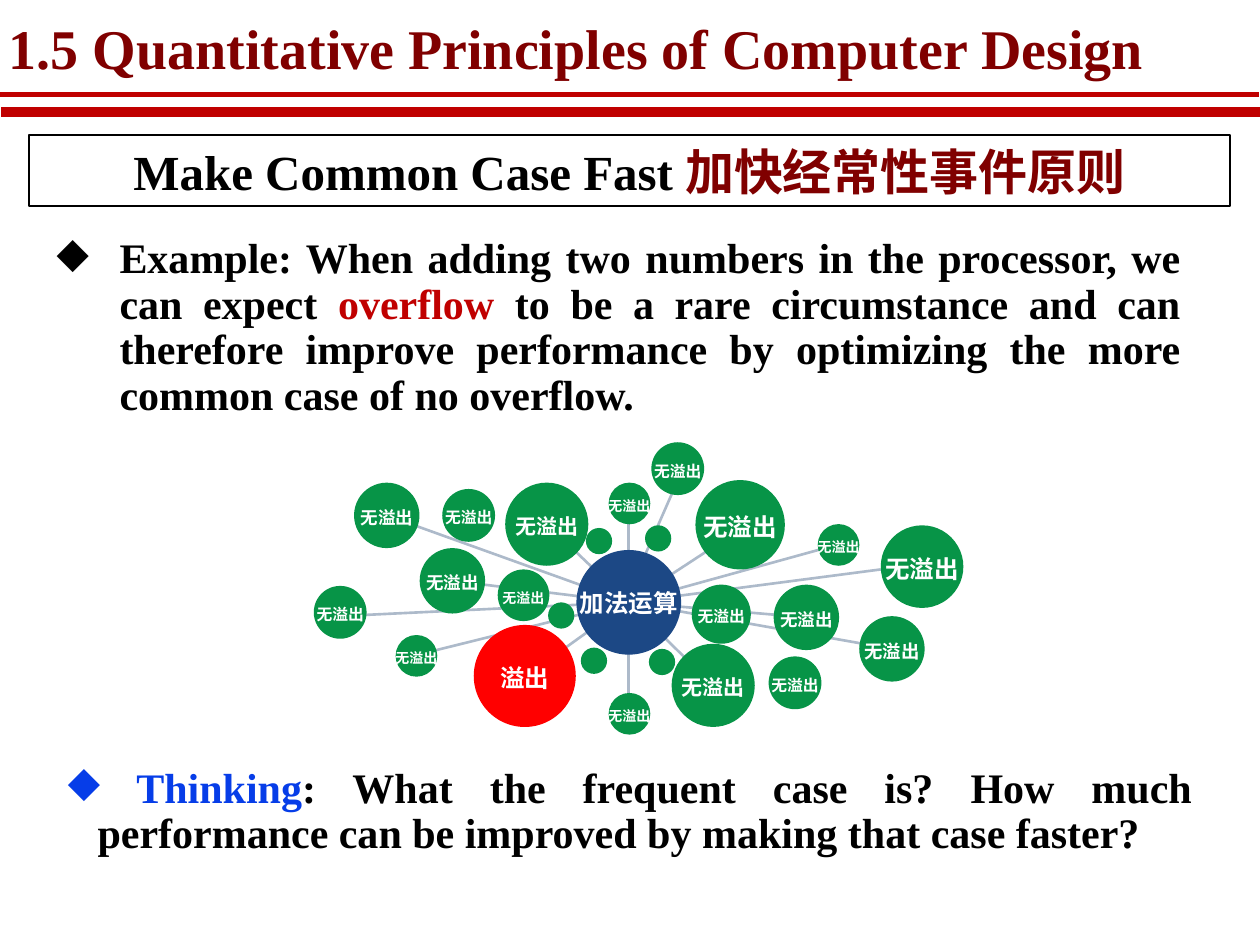
from lxml import etree
from pptx import Presentation
from pptx import util as u
from pptx.dml import color
from pptx.enum import shapes, text
from pptx.oxml import ns

SERIF = "Times New Roman"
SANS = "Arial"
BLACK, WHITE = "000000", "FFFFFF"
MAROON, RED, BLUE = "800000", "C00000", "063DE8"
GREEN, NAVY, ALERT, SPOKE = "079447", "1C4885", "FF0000", "ADBACA"

HUB = (359.3, 344.2)
HUB_DIAMETER = 59.8
LABEL_DROP = 1.2

SPOKE_ENDS = [
    (208.8, 351.4), (503.3, 325.4), (419.8, 304.6), (479.5, 311),
    (221, 294.5), (312.5, 299.5), (359.3, 287.3), (460.8, 352.8),
    (509.8, 370.8), (407.5, 391.7), (359.3, 408.2), (300.2, 386.6),
    (237.6, 374.4), (258.5, 331.9),
]

CASES = [
    (288.7, 275.8, 47.5, 12), (442.1, 334.1, 37.4, 10),
    (491, 352.1, 37.4, 10.5), (239.8, 313.2, 37.4, 10),
    (202.3, 275.8, 37.4, 10), (347.8, 275.8, 23.8, 8),
    (347.8, 396, 23.8, 8), (467.3, 299.5, 23.8, 8),
    (226.1, 362.9, 23.8, 8), (383.8, 367.9, 47.5, 12),
    (284.4, 325.4, 29.5, 8), (395.3, 334.1, 33.8, 9),
    (372.2, 252.7, 30.2, 9), (439.2, 375.1, 30.2, 9),
    (252.7, 279.4, 30.2, 9), (179.3, 334.8, 30.2, 9),
    (503.3, 300.2, 47.2, 14), (397.4, 274.3, 51.1, 14),
]

DOT_DIAMETER = 15
DOTS = [(368.6, 300.2), (334.8, 301.7), (331.9, 370.1),
        (313.2, 344.2), (370.8, 370.8)]


def rgb(value):
    return color.RGBColor.from_string(value)


def points(*values):
    return [u.Pt(value) for value in values]


def set_font(font, name, size, hue):
    font.name = name
    font.size = u.Pt(size)
    font.bold = True
    font.color.rgb = rgb(hue)


def set_frame(frame, margin_x=0, margin_y=0):
    frame.word_wrap = True
    frame.auto_size = text.MSO_AUTO_SIZE.NONE
    frame.vertical_anchor = text.MSO_ANCHOR.MIDDLE
    frame.margin_left = frame.margin_right = u.Pt(margin_x)
    frame.margin_top = frame.margin_bottom = u.Pt(margin_y)


def add_runs(paragraph, parts):
    for words, hue in parts:
        run = paragraph.add_run()
        run.text = words
        run.font.color.rgb = rgb(hue)


def add_title(slide, words):
    title = slide.shapes.title
    title.left, title.top, title.width, title.height = points(0, 10.8, 676.8, 37.4)
    set_frame(title.text_frame, 5, 2.2)
    paragraph = title.text_frame.paragraphs[0]
    paragraph.text = words
    paragraph.alignment = text.PP_ALIGN.LEFT
    paragraph.line_spacing = 0.87
    set_font(paragraph.font, SERIF, 32, MAROON)


def add_line(slide, start, end, hue, weight):
    line = slide.shapes.add_connector(
        shapes.MSO_CONNECTOR.STRAIGHT, *points(*start, *end))
    line.line.color.rgb = rgb(hue)
    line.line.width = u.Pt(weight)
    etree.SubElement(line._element.spPr, ns.qn("a:effectLst"))


def add_heading(slide, parts):
    shape = slide.shapes.add_shape(
        shapes.MSO_SHAPE.RECTANGLE, *points(16.6, 77, 686.2, 41))
    shape.shadow.inherit = False
    shape.fill.background()
    shape.line.color.rgb = rgb(BLACK)
    shape.line.width = u.Pt(1)
    set_frame(shape.text_frame, 7.2, 3.6)
    paragraph = shape.text_frame.paragraphs[0]
    paragraph.alignment = text.PP_ALIGN.CENTER
    set_font(paragraph.font, SERIF, 28, BLACK)
    add_runs(paragraph, parts)


def add_bullet_text(slide, box, indent, parts):
    shape = slide.shapes.add_textbox(*points(*box))
    frame = shape.text_frame
    set_frame(frame, 7.2, 3.6)
    frame.vertical_anchor = text.MSO_ANCHOR.TOP
    paragraph = frame.paragraphs[0]
    properties = paragraph._p.get_or_add_pPr()
    properties.set("marL", str(u.Pt(indent)))
    properties.set("indent", str(-u.Pt(indent)))
    etree.SubElement(properties, ns.qn("a:buChar")).set("char", "◆")
    paragraph.alignment = text.PP_ALIGN.JUSTIFY
    paragraph.line_spacing = u.Pt(26)
    set_font(paragraph.font, SERIF, 24, parts[0][1])
    add_runs(paragraph, parts)


def add_circle(slide, left, top, diameter, hue):
    circle = slide.shapes.add_shape(
        shapes.MSO_SHAPE.OVAL, *points(left, top, diameter, diameter))
    circle.shadow.inherit = False
    circle.fill.solid()
    circle.fill.fore_color.rgb = rgb(hue)
    circle.line.fill.background()
    return circle


def write_label(frame, words, size):
    set_frame(frame)
    paragraph = frame.paragraphs[0]
    paragraph.text = words
    paragraph.alignment = text.PP_ALIGN.CENTER
    set_font(paragraph.font, SANS, size, WHITE)


def add_case(slide, left, top, diameter, size, words="无溢出", hue=GREEN):
    add_circle(slide, left, top, diameter, hue)
    width = 72 if size == 14 else 40
    height = 1.2 * size
    label = slide.shapes.add_textbox(*points(
        left + (diameter - width) / 2,
        top + (diameter - height) / 2 + LABEL_DROP, width, height))
    write_label(label.text_frame, words, size)


def add_bubble_diagram(slide):
    add_line(slide, (387.4, 274.3), (365, 325.4), SPOKE, 1.5)
    for end in SPOKE_ENDS:
        add_line(slide, HUB, end, SPOKE, 1.5)
    hub = add_circle(slide, HUB[0] - HUB_DIAMETER / 2, HUB[1] - HUB_DIAMETER / 2,
                     HUB_DIAMETER, NAVY)
    write_label(hub.text_frame, "加法运算", 14)
    hub.text_frame.word_wrap = False
    for case in CASES:
        add_case(slide, *case)
    add_case(slide, 270.7, 357.1, 58.3, 14, "溢出", ALERT)
    for left, top in DOTS:
        add_circle(slide, left, top, DOT_DIAMETER, GREEN)


def main():
    presentation = Presentation()
    presentation.slide_width, presentation.slide_height = points(720, 540)
    slide = presentation.slides.add_slide(presentation.slide_layouts[5])

    add_title(slide, "1.5 Quantitative Principles of Computer Design")
    add_line(slide, (0.7, 64.1), (720, 64.1), RED, 6)
    add_line(slide, (0, 54), (719.3, 54), RED, 3)
    add_heading(slide, [("Make Common Case Fast ", BLACK),
                        ("加快经常性事件原则", MAROON)])
    add_bullet_text(slide, (25.2, 131.8, 656.6, 112.3), 36, [
        ("Example: When adding two numbers in the processor, we can expect ", BLACK),
        ("overflow", RED),
        (" to be a rare circumstance and can therefore improve performance "
         "by optimizing the more common case of no overflow.", BLACK)])
    add_bullet_text(slide, (31.7, 434.2, 656.6, 59.8), 17, [
        (" Thinking", BLUE),
        (": What the frequent case is? How much performance can be "
         "improved by making that case faster?", BLACK)])
    add_bubble_diagram(slide)

    presentation.save("out.pptx")


if __name__ == "__main__":
    main()
